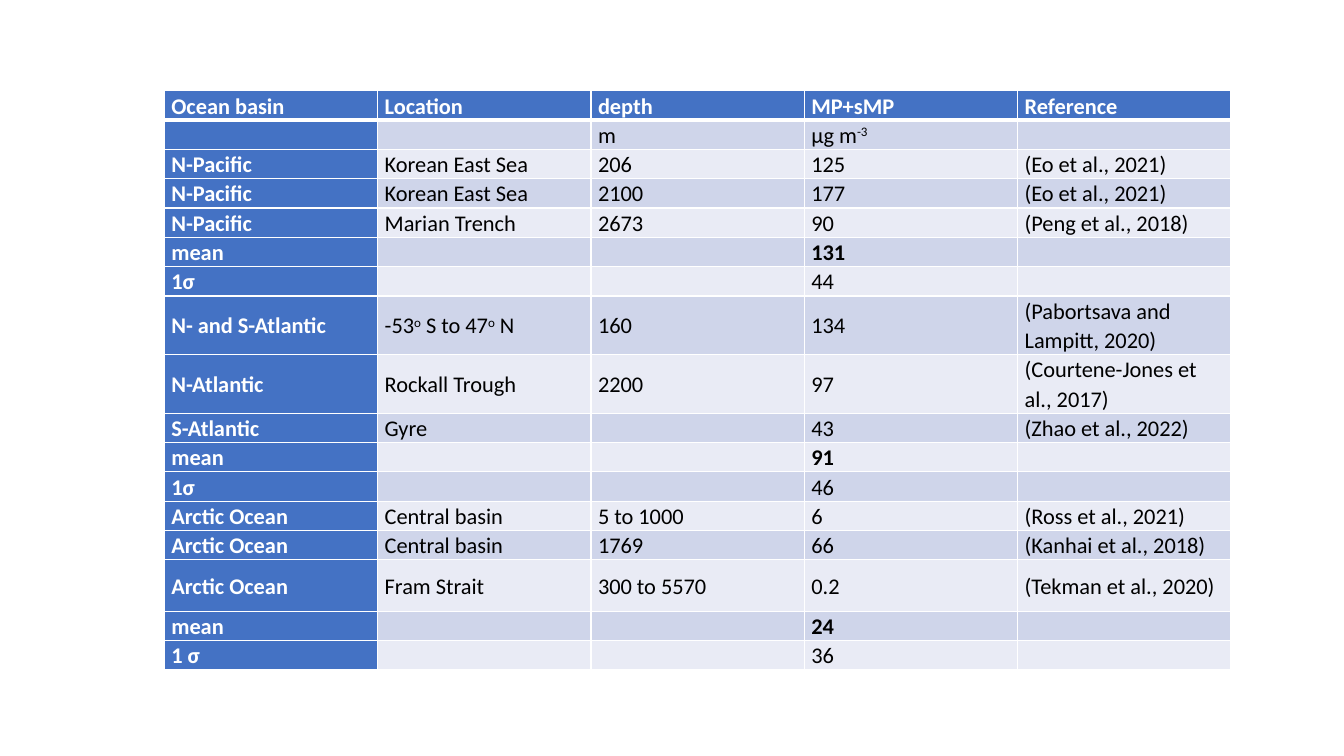
"""Builds a slide with a table of microplastic concentrations by ocean basin."""
from lxml import etree
from pptx import Presentation
from pptx.dml.color import RGBColor
from pptx.enum.text import MSO_ANCHOR as ANCHOR
from pptx.oxml import parse_xml
from pptx.oxml.ns import nsdecls, qn
from pptx.util import Inches, Pt

BLUE, BAND_DARK, BAND_LIGHT = "4472C4", "CFD5EA", "E9EBF5"
WHITE, BLACK = "FFFFFF", "000000"
ROW_H, TALL_ROW_H = 0.29, 0.51
TALL_ROWS = {7, 8, 14}

ROWS = [
    ("Ocean basin", "Location", "depth", "MP+sMP", "Reference"),
    ("", "", "m", "µg m^-3^", ""),
    ("N-Pacific", "Korean East Sea", "206", "125", "(Eo et al., 2021)"),
    ("N-Pacific", "Korean East Sea", "2100", "177", "(Eo et al., 2021)"),
    ("N-Pacific", "Marian Trench", "2673", "90", "(Peng et al., 2018)"),
    ("mean", "", "", "131", ""),
    ("1σ", "", "", "44", ""),
    ("N- and S-Atlantic", "-53^o^ S to 47^o^ N", "160", "134", "(Pabortsava and Lampitt, 2020)"),
    ("N-Atlantic", "Rockall Trough", "2200", "97", "(Courtene-Jones et al., 2017)"),
    ("S-Atlantic", "Gyre", "", "43", "(Zhao et al., 2022)"),
    ("mean", "", "", "91", ""),
    ("1σ", "", "", "46", ""),
    ("Arctic Ocean", "Central basin", "5 to 1000", "6", "(Ross et al., 2021)"),
    ("Arctic Ocean", "Central basin", "1769", "66", "(Kanhai et al., 2018)"),
    ("Arctic Ocean", "Fram Strait", "300 to 5570", "0.2", "(Tekman et al., 2020)"),
    ("mean", "", "", "24", ""),
    ("1 σ", "", "", "36", ""),
]


def rgb(color):
    """Turn a hex string into a colour."""
    return RGBColor.from_string(color)


def set_borders(cell, top, bottom):
    """Draw white borders, with top and bottom widths in points."""
    tc_pr = cell._tc.get_or_add_tcPr()
    for i, (side, width) in enumerate(zip("LRTB", (1, 1, top, bottom))):
        tc_pr.insert(i, parse_xml(
            f'<a:ln{side} {nsdecls("a")} w="{Pt(width)}"><a:solidFill>'
            f'<a:srgbClr val="{WHITE}"/></a:solidFill></a:ln{side}>'))


prs = Presentation()
prs.slide_width, prs.slide_height = Inches(13.33), Inches(7.5)
s = prs.slides.add_slide(prs.slide_layouts[6])

n_rows, n_cols = len(ROWS), len(ROWS[0])
table = s.shapes.add_table(n_rows, n_cols, Inches(1.63), Inches(0.9),
                           Inches(10.58), Inches(5.7)).table
for col in table.columns:
    col.width = Inches(10.58 / n_cols)

for i, texts in enumerate(ROWS):
    table.rows[i].height = Inches(TALL_ROW_H if i in TALL_ROWS else ROW_H)
    band = BAND_DARK if i % 2 else BAND_LIGHT
    for j, text in enumerate(texts):
        cell = table.cell(i, j)
        is_header = i == 0 or j == 0
        cell.fill.solid()
        cell.fill.fore_color.rgb = rgb(BLUE if is_header else band)
        set_borders(cell, 3 if i == 1 else 1, 3 if i == 0 else 1)
        cell.vertical_anchor = ANCHOR.MIDDLE
        cell.margin_left = cell.margin_right = Inches(0.07)
        cell.margin_top = cell.margin_bottom = 0

        p = cell.text_frame.paragraphs[0]
        if not text:
            etree.SubElement(p._p, qn("a:endParaRPr"), sz="1600")
            continue
        p.line_spacing = 1.07
        for k, part in enumerate(text.split("^")):
            if not part:
                continue
            r = p.add_run()
            r.text = part
            r.font.name, r.font.size = "Calibri", Pt(16)
            r.font.bold = is_header or (texts[0] == "mean" and j == 3)
            r.font.color.rgb = rgb(WHITE if is_header else BLACK)
            if k % 2:
                r._r.get_or_add_rPr().set("baseline", "30000")

prs.save("out.pptx")
